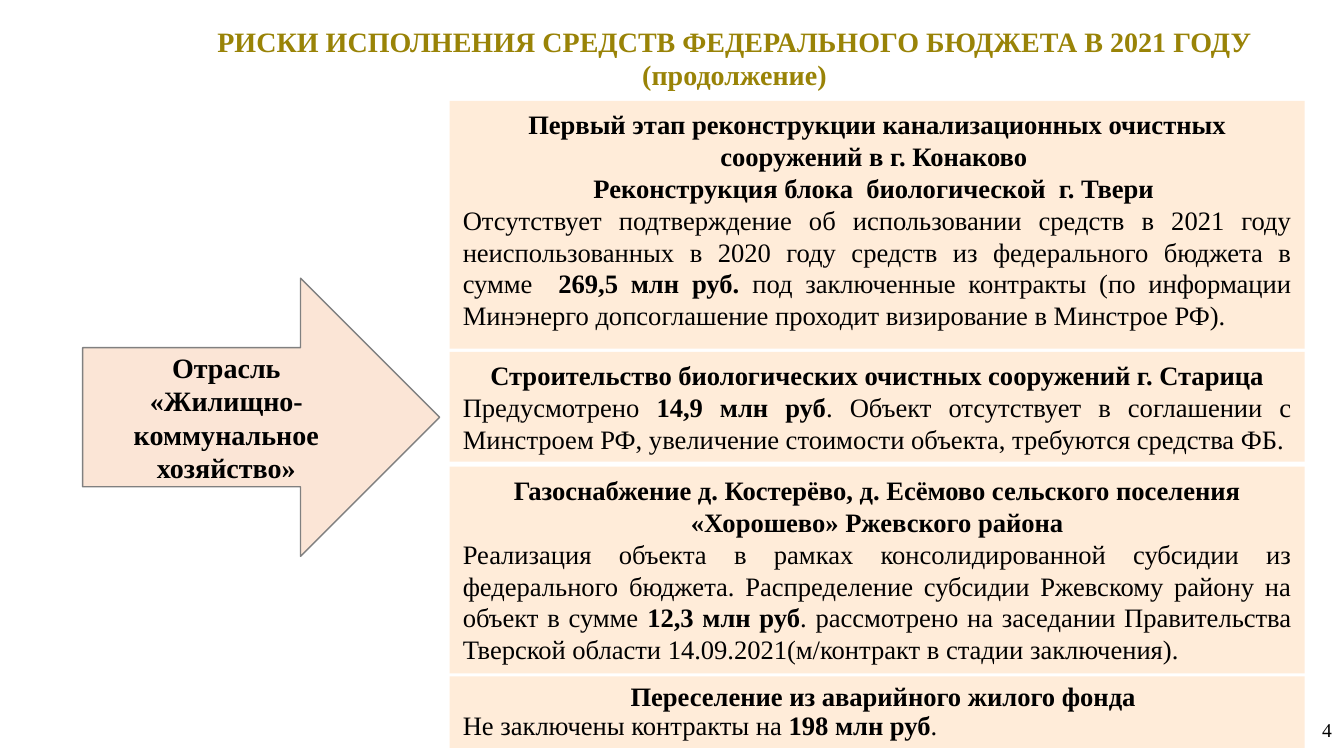
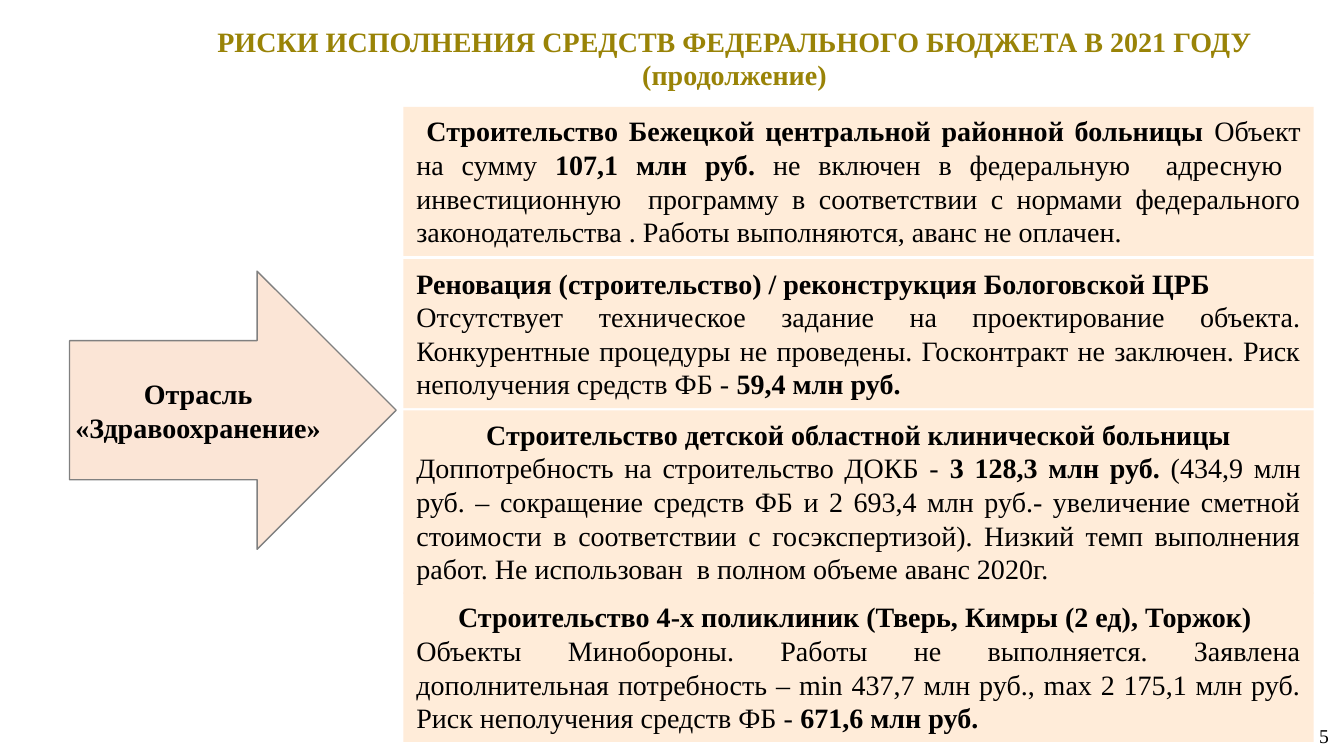
from pptx import Presentation
from pptx.dml.color import RGBColor
from pptx.enum.shapes import MSO_SHAPE
from pptx.enum.text import MSO_ANCHOR, MSO_AUTO_SIZE, PP_ALIGN
from pptx.util import Pt

PX = 9144
GOLD = RGBColor(0x99, 0x83, 0x07)
CREAM = RGBColor(0xFF, 0xEC, 0xD9)
PEACH = RGBColor(0xFB, 0xE5, 0xD6)
GRAY = RGBColor(0x80, 0x80, 0x80)
BLACK = RGBColor(0, 0, 0)
FONT = "Times New Roman"
RECT, ARROW = MSO_SHAPE.RECTANGLE, MSO_SHAPE.RIGHT_ARROW
TOP, MIDDLE = MSO_ANCHOR.TOP, MSO_ANCHOR.MIDDLE
LEFT, CENTER = PP_ALIGN.LEFT, PP_ALIGN.CENTER
RIGHT, JUSTIFY = PP_ALIGN.RIGHT, PP_ALIGN.JUSTIFY
NO_FIT = MSO_AUTO_SIZE.NONE

TITLE = ["РИСКИ ИСПОЛНЕНИЯ СРЕДСТВ ФЕДЕРАЛЬНОГО БЮДЖЕТА В 2021 ГОДУ", "(продолжение)"]
HEAD = dict(bold=True, align=CENTER)
BODY = dict(align=JUSTIFY)
TIGHT = dict(spacing=0.9)

SLIDES = [
    dict(
        number="4", number_at=(1031, 704), size=19, left=446, width=848,
        arrow="Отрасль «Жилищно-коммунальное хозяйство»",
        arrow_at=(82, 276, 354, 276), arrow_inset=10,
        boxes=[
            (100, 246, [
                ("Первый этап реконструкции канализационных очистных сооружений в г. Конаково ", HEAD),
                ("Реконструкция блока  биологической  г. Твери ", HEAD),
                ("Отсутствует подтверждение об использовании средств в 2021 году "
                 "неиспользованных в 2020 году средств из федерального бюджета в сумме  "
                 "**269,5 млн руб.** под заключенные контракты (по информации Минэнерго "
                 "допсоглашение проходит визирование в Минстрое РФ).", BODY)]),
            (349, 109, [
                ("Строительство биологических очистных сооружений г. Старица", HEAD),
                ("Предусмотрено **14,9 млн руб**. Объект отсутствует в соглашении с "
                 "Минстроем РФ, увеличение стоимости объекта, требуются средства ФБ.", BODY)]),
            (463, 205, [
                ("Газоснабжение д. Костерёво, д. Есёмово сельского поселения "
                 "«Хорошево» Ржевского района", HEAD),
                ("Реализация объекта в рамках консолидированной субсидии из федерального "
                 "бюджета. Распределение субсидии Ржевскому району на объект в сумме "
                 "**12,3 млн руб**. рассмотрено на заседании Правительства Тверской области "
                 "14.09.2021(м/контракт в стадии заключения).", BODY)]),
            (671, 71, [
                ("Переселение из аварийного жилого фонда", HEAD | TIGHT | dict(margin=12)),
                ("Не заключены контракты на **198 млн руб**.", BODY | TIGHT)]),
        ],
    ),
    dict(
        number="5", number_at=(1028, 710), size=20, left=400, width=903,
        arrow="Отрасль «Здравоохранение»",
        arrow_at=(69, 269, 324, 276), arrow_inset=1,
        boxes=[
            (106, 148, [
                ("**Строительство Бежецкой центральной районной больницы **Объект на сумму "
                 "**107,1 млн руб.** не включен в федеральную  адресную  инвестиционную  "
                 "программу в соответствии с нормами федерального законодательства . "
                 "Работы выполняются, аванс не оплачен. ", BODY | dict(indent=10))]),
            (257, 148, [
                ("Реновация (строительство) / реконструкция Бологовской ЦРБ", HEAD | dict(align=LEFT)),
                ("Отсутствует техническое задание на проектирование объекта. Конкурентные "
                 "процедуры не проведены. Госконтракт не заключен. Риск неполучения средств "
                 "ФБ - **59,4 млн руб.**", BODY)]),
            (407, 182, [
                ("Строительство детской областной клинической больницы", HEAD),
                ("Доппотребность на строительство ДОКБ - **3 128,3 млн руб. **(434,9 млн руб. – "
                 "сокращение средств ФБ и 2 693,4 млн руб.- увеличение сметной стоимости в "
                 "соответствии с госэкспертизой). Низкий темп выполнения работ. "
                 "Не использован  в полном объеме аванс 2020г.", BODY)]),
            (588, 148, [
                ("Строительство 4-х поликлиник (Тверь, Кимры (2 ед), Торжок) ", HEAD),
                ("Объекты Минобороны. Работы не выполняется. Заявлена дополнительная "
                 "потребность – min 437,7 млн руб., max 2 175,1 млн руб. Риск неполучения "
                 "средств ФБ - **671,6 млн руб.**", BODY)]),
        ],
    ),
]


def write(tf, text, size=20, bold=False, color=BLACK, align=CENTER, spacing=1.0, margin=0, indent=0):
    p = tf.paragraphs[0] if not tf.text else tf.add_paragraph()
    p.alignment = align
    p.line_spacing = spacing
    pPr = p._p.get_or_add_pPr()
    pPr.set("marL", str(margin * PX))
    pPr.set("indent", str(indent * PX))
    for i, part in enumerate(text.split("**")):
        if part:
            r = p.add_run()
            r.text = part
            r.font.name = FONT
            r.font.size = Pt(size)
            r.font.bold = bold or i % 2 == 1
            r.font.color.rgb = color


def frame(sp, inset_x=10, inset_y=5, anchor=TOP):
    tf = sp.text_frame
    tf.word_wrap = True
    tf.auto_size = NO_FIT
    tf.vertical_anchor = anchor
    tf.margin_left = tf.margin_right = inset_x * PX
    tf.margin_top = tf.margin_bottom = inset_y * PX
    return tf


prs = Presentation()
prs.slide_width, prs.slide_height = 1333 * PX, 750 * PX

for data in SLIDES:
    s = prs.slides.add_slide(prs.slide_layouts[5])
    title = s.shapes.title
    title.left, title.top, title.width, title.height = [v * PX for v in (143, 19, 1171, 77)]
    tf = frame(title)
    for line in TITLE:
        write(tf, line, bold=True, color=GOLD)

    arrow = s.shapes.add_shape(ARROW, *[v * PX for v in data["arrow_at"]])
    arrow.shadow.inherit = False
    arrow.fill.solid()
    arrow.fill.fore_color.rgb = PEACH
    arrow.line.color.rgb = GRAY
    arrow.line.width = Pt(1)
    write(frame(arrow, data["arrow_inset"], anchor=MIDDLE), data["arrow"], bold=True)

    for top, height, paragraphs in data["boxes"]:
        sp = s.shapes.add_shape(RECT, *[v * PX for v in (data["left"], top, data["width"], height)])
        sp.shadow.inherit = False
        sp.fill.solid()
        sp.fill.fore_color.rgb = CREAM
        sp.line.fill.background()
        tf = frame(sp, 13, 7)
        for text, style in paragraphs:
            write(tf, text, size=data["size"], **style)

    number = s.shapes.add_textbox(*[v * PX for v in (*data["number_at"], 300, 40)])
    write(frame(number, anchor=MIDDLE), data["number"], size=14, align=RIGHT)

prs.save("out.pptx")
